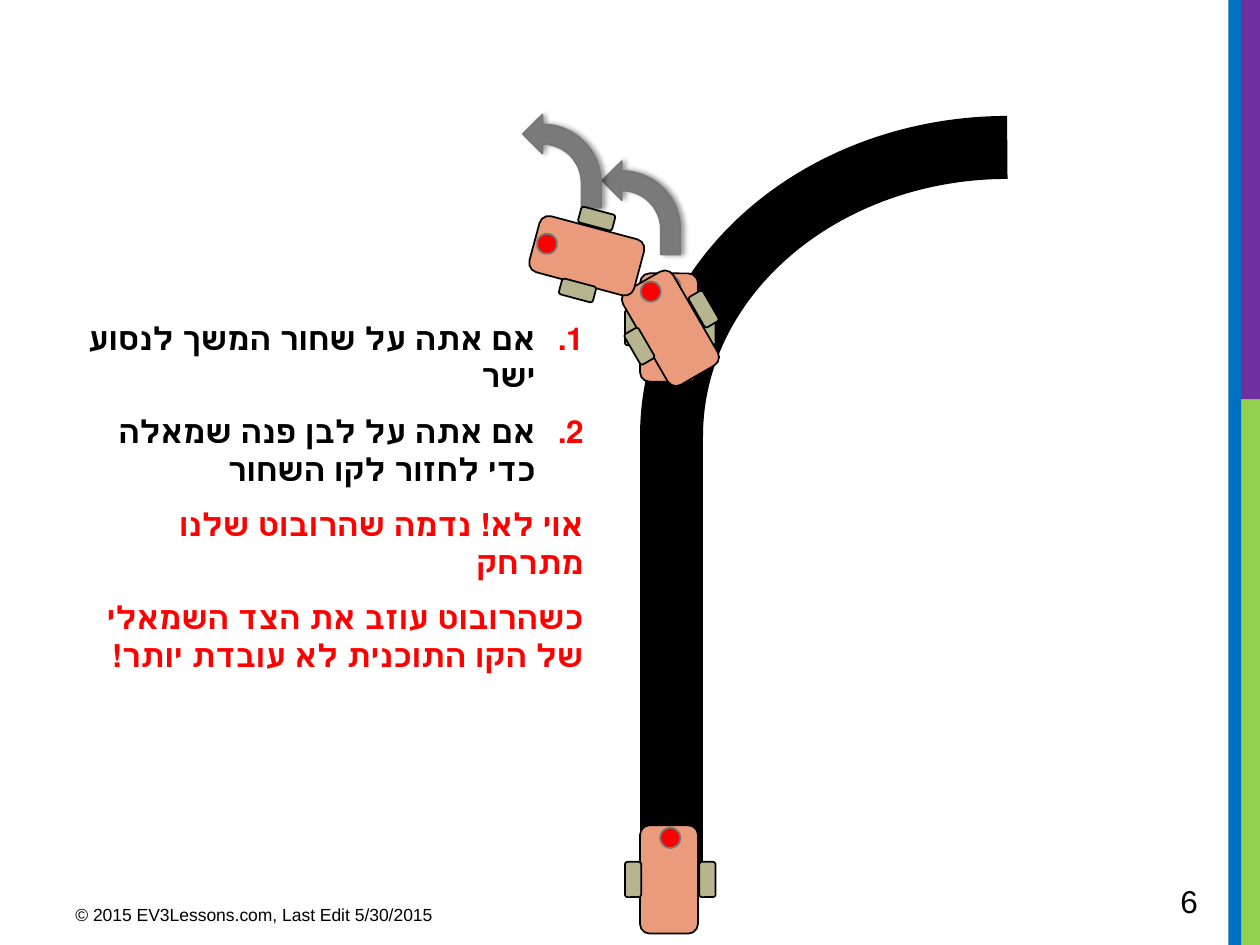
from lxml import etree
from pptx import Presentation
from pptx.dml.color import RGBColor
from pptx.enum.shapes import MSO_CONNECTOR, MSO_SHAPE
from pptx.enum.text import MSO_ANCHOR, PP_ALIGN
from pptx.oxml.ns import qn
from pptx.util import Inches, Pt

RECT, ROUNDED, OVAL = MSO_SHAPE.RECTANGLE, MSO_SHAPE.ROUNDED_RECTANGLE, MSO_SHAPE.OVAL
ARC, BENT_ARROW = MSO_SHAPE.ARC, MSO_SHAPE.BENT_ARROW
STRAIGHT = MSO_CONNECTOR.STRAIGHT
RIGHT, MIDDLE = PP_ALIGN.RIGHT, MSO_ANCHOR.MIDDLE

BLACK = RGBColor(0x00, 0x00, 0x00)
RED = RGBColor(0xFF, 0x00, 0x00)
GREEN = RGBColor(0x92, 0xD0, 0x50)
PURPLE = RGBColor(0x70, 0x30, 0xA0)
BLUE = RGBColor(0x00, 0x70, 0xC0)
SALMON = RGBColor(0xEA, 0x9B, 0x7C)
KHAKI = RGBColor(0xB6, 0xB5, 0x90)
GREY = RGBColor(0x7A, 0x7A, 0x7A)
OUTLINE_GREY = RGBColor(0x77, 0x77, 0x77)

FONT = "Arial"
ROAD_WIDTH = Pt(36)
NUMBER_INDENT = Inches(0.38)

RULES = [
    ("אם אתה על שחור המשך לנסוע ישר", True),
    ("אם אתה על לבן פנה שמאלה כדי לחזור לקו השחור", True),
    ("אוי לא! נדמה שהרובוט שלנו מתרחק", False),
    ("כשהרובוט עוזב את הצד השמאלי של הקו התוכנית לא עובדת יותר!", False),
]


def add_filled(shapes, kind, left, top, width, height, fill, outline=None):
    shape = shapes.add_shape(kind, Inches(left), Inches(top), Inches(width), Inches(height))
    shape.shadow.inherit = False
    shape.fill.solid()
    shape.fill.fore_color.rgb = fill
    if outline is None:
        shape.line.fill.background()
    else:
        shape.line.color.rgb = outline
        shape.line.width = Pt(1)
    return shape


def flip_horizontally(shape):
    shape._element.spPr.find(qn("a:xfrm")).set("flipH", "1")


def add_side_bars(slide):
    add_filled(slide.shapes, RECT, 9.84, 3.17, 0.16, 4.33, GREEN)
    add_filled(slide.shapes, RECT, 9.8, 0, 0.2, 3.17, PURPLE)
    add_filled(slide.shapes, RECT, 9.75, 0, 0.1, 7.5, BLUE)


def add_road(slide, left, top, bottom):
    """Draw a straight road that bends right at its upper end."""
    straight = slide.shapes.add_connector(
        STRAIGHT, Inches(left), Inches(bottom), Inches(left), Inches(top + 2.27))
    etree.SubElement(straight._element.spPr, qn("a:effectLst"))
    curve = slide.shapes.add_shape(
        ARC, Inches(left), Inches(top), Inches(5.33), Inches(4.58))
    curve.shadow.inherit = False
    curve.fill.background()
    flip_horizontally(curve)
    for part in (straight, curve):
        part.line.color.rgb = BLACK
        part.line.width = ROAD_WIDTH


def add_robot(slide, left, top, rotation=0):
    robot = slide.shapes.add_group_shape()
    add_filled(robot.shapes, ROUNDED, left + 0.12, top, 0.46, 0.86, SALMON, BLACK)
    for wheel_left in (left + 0.59, left):
        add_filled(robot.shapes, ROUNDED, wheel_left, top + 0.29, 0.13, 0.28, KHAKI, BLACK)
    add_filled(robot.shapes, OVAL, left + 0.28, top + 0.02, 0.16, 0.16, RED, OUTLINE_GREY)
    robot.rotation = rotation


def add_turn_arrow(slide, left, top):
    arrow = add_filled(slide.shapes, BENT_ARROW, left, top, 0.62, 0.74, GREY, OUTLINE_GREY)
    arrow.adjustments[3] = 0.75
    flip_horizontally(arrow)
    effects = arrow._element.spPr.find(qn("a:effectLst"))
    shadow = etree.SubElement(effects, qn("a:outerShdw"), blurRad=str(Pt(3.1)),
                              dist=str(Pt(1.8)), dir="0", rotWithShape="0")
    color = etree.SubElement(shadow, qn("a:srgbClr"), val=str(BLACK))
    etree.SubElement(color, qn("a:alpha"), val="40000")


def add_text_frame(slide, left, top, width, height):
    box = slide.shapes.add_textbox(Inches(left), Inches(top), Inches(width), Inches(height))
    box.text_frame.word_wrap = True
    return box.text_frame


def add_run(paragraph, text, size, color=BLACK, bold=False):
    run = paragraph.add_run()
    run.text = text
    run.font.name = FONT
    run.font.size = Pt(size)
    run.font.bold = bold
    run.font.color.rgb = color


def add_number(paragraph):
    """Give the paragraph a red automatic number with a hanging indent."""
    properties = paragraph._p.get_or_add_pPr()
    properties.set("marL", str(NUMBER_INDENT))
    properties.set("indent", str(-NUMBER_INDENT))
    color = etree.SubElement(properties, qn("a:buClr"))
    etree.SubElement(color, qn("a:srgbClr"), val=str(RED))
    etree.SubElement(properties, qn("a:buFont"), typeface=FONT)
    etree.SubElement(properties, qn("a:buAutoNum"), type="arabicPeriod")


def add_rules(slide, left, top, width, height):
    frame = add_text_frame(slide, left, top, width, height)
    for index, (text, numbered) in enumerate(RULES):
        paragraph = frame.add_paragraph() if index else frame.paragraphs[0]
        paragraph._p.get_or_add_pPr().set("rtl", "1")
        if numbered:
            add_number(paragraph)
        paragraph.alignment = RIGHT
        paragraph.space_before = Pt(4 if index else 0)
        paragraph.space_after = Pt(6)
        add_run(paragraph, text, 18, BLACK if numbered else RED, bold=True)


def add_footer_text(slide, left, top, width, height, text, size):
    frame = add_text_frame(slide, left, top, width, height)
    frame.vertical_anchor = MIDDLE
    add_run(frame.paragraphs[0], text, size)


def main():
    presentation = Presentation()
    presentation.slide_width = Inches(10)
    presentation.slide_height = Inches(7.5)
    slide = presentation.slides.add_slide(presentation.slide_layouts[6])

    add_side_bars(slide)
    add_road(slide, 5.33, 1.17, 6.96)
    add_robot(slide, 4.96, 6.55)
    add_robot(slide, 4.96, 2.17)
    add_turn_arrow(slide, 4.78, 1.28)
    add_robot(slide, 4.97, 2.17, rotation=330)
    add_turn_arrow(slide, 4.15, 0.91)
    add_robot(slide, 4.3, 1.59, rotation=285)
    add_rules(slide, 0.51, 2.48, 4.22, 2.66)
    add_footer_text(slide, 0.5, 7.1, 3.75, 0.31,
                    "© 2015 EV3Lessons.com, Last Edit 5/30/2015", 10)
    add_footer_text(slide, 9.27, 6.95, 0.73, 0.4, "6", 18)

    presentation.save("out.pptx")


if __name__ == "__main__":
    main()
